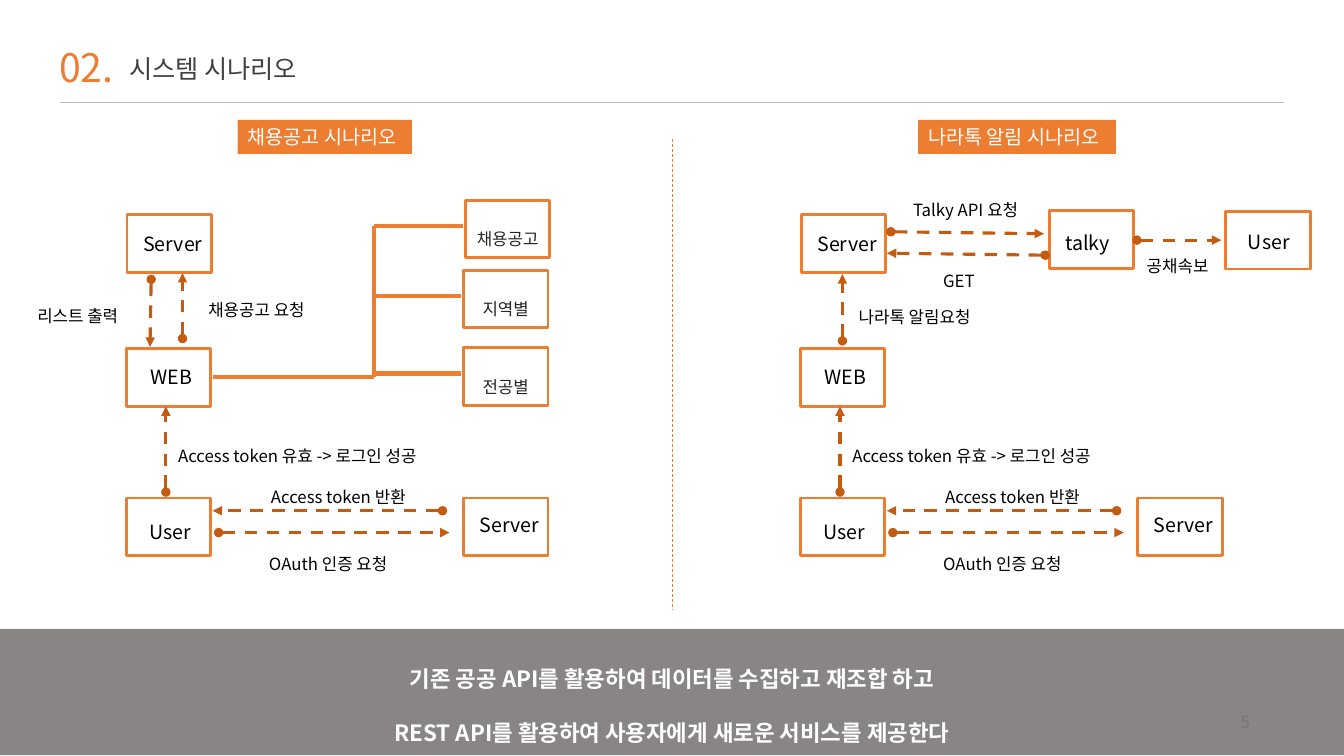
from lxml import etree
from pptx import Presentation
from pptx import util as u
from pptx.dml.color import RGBColor
from pptx.enum import dml, shapes, text
from pptx.oxml.ns import qn
from pptx.util import Cm

FONT = "Noto Sans CJK KR"
COLORS = {
    "orange": "ED7D31", "rust": "C55A11", "white": "FFFFFF", "black": "000000",
    "title": "404040", "option": "262626", "band": "767171", "rule": "BFBFBF",
    "page": "898989",
}
BOX_W, BOX_H = 2.13, 1.45
HALF = 16.99  # distance from the left scenario to the right one


def rgb(name):
    return RGBColor.from_string(COLORS[name])


def write(sp, *lines, size=12, color="black", bold=False, spacing=None,
          align=text.PP_ALIGN.LEFT, anchor=text.MSO_ANCHOR.TOP, wrap=True,
          grow=False, inset=None):
    """Fill a shape with paragraphs; inset is (left, top) in cm."""
    tf = sp.text_frame
    tf.word_wrap = wrap
    tf.vertical_anchor = anchor
    fit = text.MSO_AUTO_SIZE
    tf.auto_size = fit.SHAPE_TO_FIT_TEXT if grow else fit.NONE
    if inset:
        tf.margin_left, tf.margin_top = map(Cm, inset)
        tf.margin_right = tf.margin_bottom = 0
    for i, line in enumerate(lines):
        p = tf.add_paragraph() if i else tf.paragraphs[0]
        p.alignment = align
        if spacing:
            p.line_spacing = spacing
        r = p.add_run()
        r.text = line
        r.font.name, r.font.size, r.font.bold = FONT, u.Pt(size), bold
        r.font.color.rgb = rgb(color)
        etree.SubElement(r.font._element, qn("a:ea"), typeface=FONT)


def textbox(s, line, x, y, w, h, **fmt):
    write(s.shapes.add_textbox(Cm(x), Cm(y), Cm(w), Cm(h)), line, **fmt)


def caption(s, line, x, y, w=7.72):
    """Label beside an arrow."""
    textbox(s, line, x, y, w, 1.12, spacing=2.0, grow=True)


def rect(s, x, y, w=BOX_W, h=BOX_H, fill=None, line=None):
    sp = s.shapes.add_shape(shapes.MSO_SHAPE.RECTANGLE, Cm(x), Cm(y), Cm(w), Cm(h))
    sp.shadow.inherit = False
    if fill:
        sp.fill.solid()
        sp.fill.fore_color.rgb = rgb(fill)
    else:
        sp.fill.background()
    if line:
        sp.line.color.rgb = rgb(line)
        sp.line.width = u.Pt(2)
    else:
        sp.line.fill.background()
    return sp


def node(s, label, x, y, left=0.41, top=0.43):
    write(rect(s, x, y, line="orange"), label, size=14, inset=(left, top))


def tag(s, label, x, w):
    write(rect(s, x, 3.02, w, 0.86, fill="orange"), label, size=14,
          color="white", wrap=False, grow=True)


def line(s, x1, y1, x2, y2, color="orange", width=3.0, dashed=False):
    c = s.shapes.add_connector(shapes.MSO_CONNECTOR.STRAIGHT,
                               Cm(x1), Cm(y1), Cm(x2), Cm(y2))
    c.line.color.rgb = rgb(color)
    c.line.width = u.Pt(width)
    if dashed:
        c.line.dash_style = dml.MSO_LINE.DASH
    etree.SubElement(c._element.spPr, qn("a:effectLst"))
    return c


def arrow(s, x1, y1, x2, y2):
    """Dashed arrow from a dot to a triangle."""
    ln = line(s, x1, y1, x2, y2, "rust", 2.25, dashed=True).line._get_or_add_ln()
    etree.SubElement(ln, qn("a:headEnd"), type="oval")
    etree.SubElement(ln, qn("a:tailEnd"), type="triangle")


def header(s):
    textbox(s, "02.", 1.24, 0.97, 1.93, 1.45, size=28, color="orange",
            wrap=False, grow=True)
    title = s.shapes.title
    title.left, title.top, title.width, title.height = map(Cm, (3, 1.22, 4.85, 1.02))
    write(title, "시스템 시나리오", size=18, color="title", wrap=False)
    line(s, 1.52, 2.57, 32.36, 2.57, "rule", 0.5)


def login_flow(s, x):
    """Login steps that both scenarios share, shifted right by x."""
    node(s, "User", x + 3.18, 12.55, 0.58, 0.56)
    node(s, "Server", x + 11.68, 12.55, top=0.38)
    node(s, "WEB", x + 3.18, 8.79, 0.61, 0.41)
    node(s, "Server", x + 3.2, 5.41)
    arrow(s, x + 5.51, 13.42, x + 11.33, 13.42)
    arrow(s, x + 11.15, 12.87, x + 5.36, 12.87)
    arrow(s, x + 4.18, 12.4, x + 4.18, 10.24)
    caption(s, "OAuth 인증 요청", x + 6.53, 13.32, 5.59)
    caption(s, "Access token 반환", x + 6.58, 11.64, 5.59)
    caption(s, "Access token 유효 -> 로그인 성공", x + 4.24, 10.59)


def job_scenario(s):
    tag(s, "채용공고 시나리오", 5.99, 4.39)
    login_flow(s, 0)
    arrow(s, 4.6, 8.53, 4.6, 6.88)
    arrow(s, 3.81, 7.04, 3.78, 8.74)
    caption(s, "채용공고 요청", 5, 6.93)
    caption(s, "리스트 출력", 0.69, 7.06)
    trunk = 9.42
    line(s, 5.36, 9.5, trunk, 9.5)
    line(s, trunk, 5.7, trunk, 9.5)
    options = [("채용공고", 11.73, 5.05), ("지역별", 11.68, 6.81), ("전공별", 11.68, 8.76)]
    for label, x, y in options:
        line(s, trunk, y + 0.65, x - 0.05, y + 0.65)
        write(rect(s, x, y, line="orange"), label, color="option", spacing=2.0,
              align=text.PP_ALIGN.CENTER, anchor=text.MSO_ANCHOR.MIDDLE)


def alert_scenario(s):
    tag(s, "나라톡 알림 시나리오", 23.14, 4.98)
    login_flow(s, HALF)
    node(s, "talky", 26.44, 5.31, top=0.51)
    node(s, "User", 30.89, 5.33, 0.56, 0.46)
    arrow(s, 21.23, 8.59, 21.23, 6.91)
    arrow(s, 22.45, 5.84, 26.31, 5.89)
    arrow(s, 26.34, 6.43, 22.35, 6.38)
    arrow(s, 28.65, 6.05, 30.78, 6.05)
    caption(s, "나라톡 알림요청", 21.39, 7.09)
    caption(s, "Talky API 요청", 22.76, 4.39)
    caption(s, "GET", 23.52, 6.2)
    caption(s, "공채속보", 28.65, 5.82, 4.8)


def footer(s):
    textbox(s, "5", 29.5, 17.8, 2.25, 0.8, color="page", align=text.PP_ALIGN.RIGHT)
    band = rect(s, 0, 15.85, 33.87, 3.18, fill="band")
    color = band.fill._xPr.find(qn("a:solidFill"))[0]
    etree.SubElement(color, qn("a:alpha"), val="86000")
    write(band, "기존 공공 API를 활용하여 데이터를 수집하고 재조합 하고",
          "REST API를 활용하여 사용자에게 새로운 서비스를 제공한다",
          size=16, color="white", bold=True, spacing=2.0,
          align=text.PP_ALIGN.CENTER, anchor=text.MSO_ANCHOR.MIDDLE)


def main():
    prs = Presentation()
    prs.slide_width, prs.slide_height = Cm(33.87), Cm(19.05)
    s = prs.slides.add_slide(prs.slide_layouts[5])
    header(s)
    footer(s)
    job_scenario(s)
    line(s, 16.94, 3.51, 16.94, 15.37, width=0.5, dashed=True)
    alert_scenario(s)
    prs.save("out.pptx")


if __name__ == "__main__":
    main()
